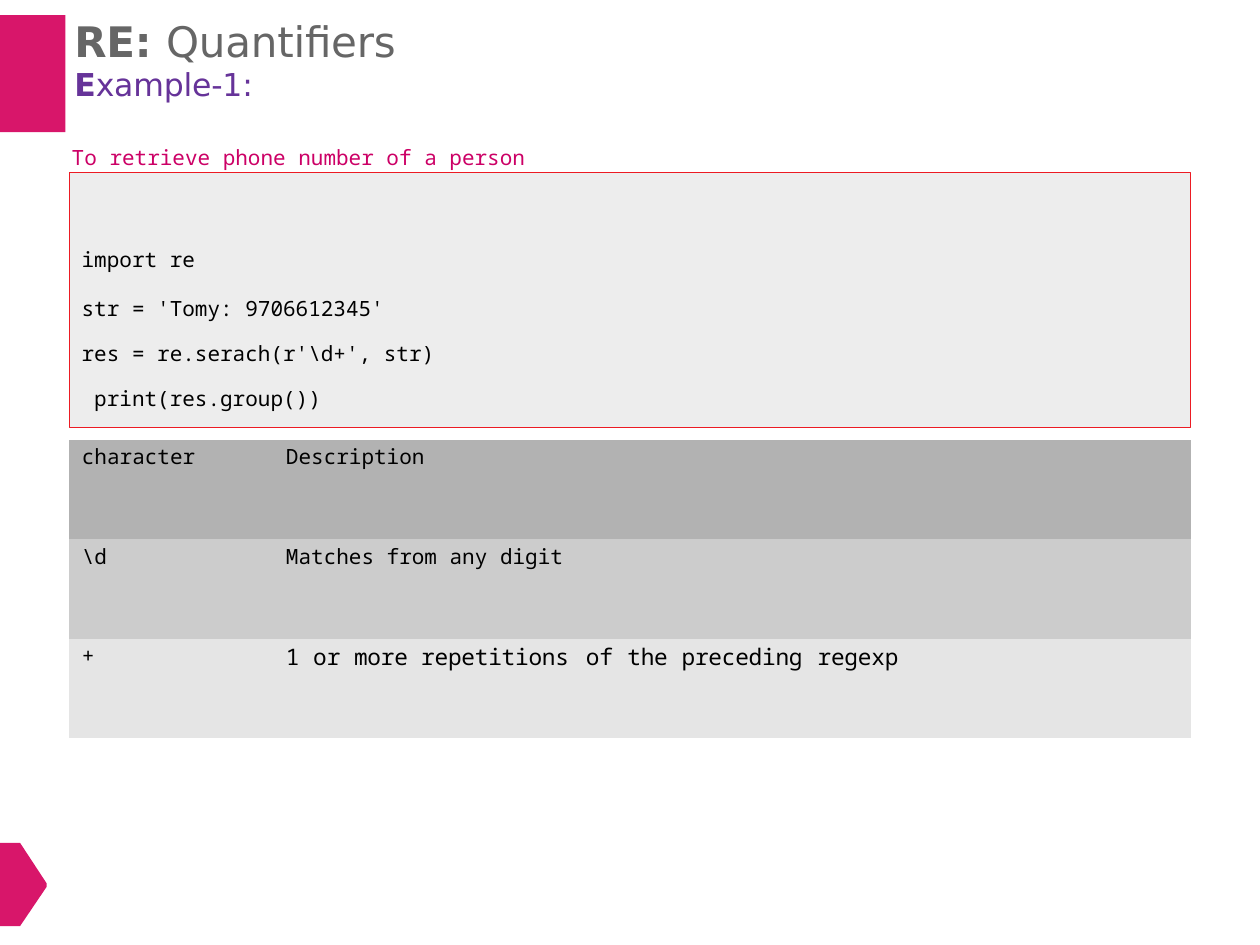
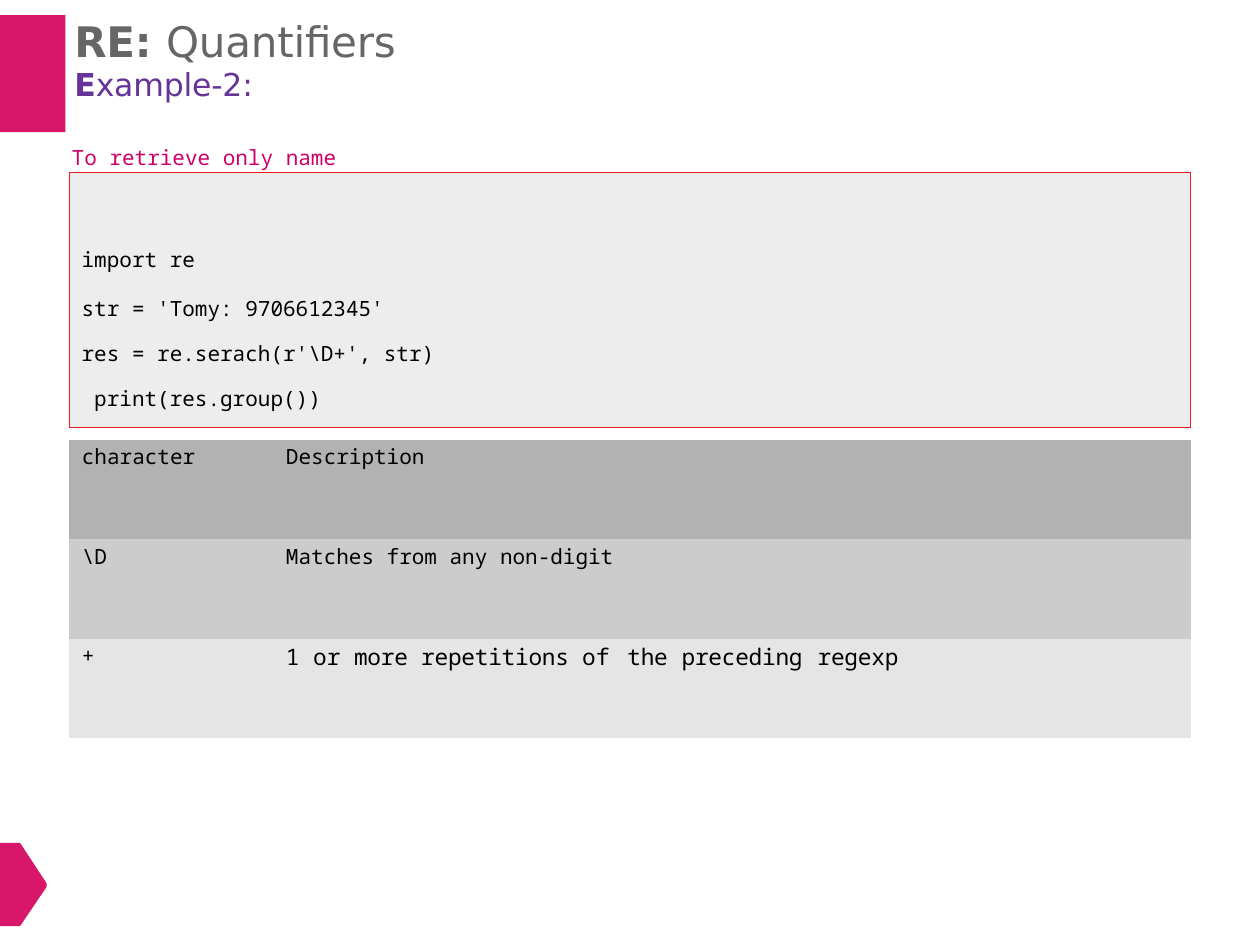
from dataclasses import dataclass

from pptx import Presentation
from pptx.dml.color import RGBColor
from pptx.enum.shapes import MSO_SHAPE
from pptx.enum.text import MSO_ANCHOR, PP_ALIGN
from pptx.util import Inches, Pt

PINK = "D8166A"
GREY = "666666"
PURPLE = "663399"
MAGENTA = "CC0066"
RED = "EC1B23"
PALE = "EDEDED"
BLACK = "000000"
ROW_FILLS = ("B2B2B2", "CCCCCC", "E5E5E5")
SANS = "DejaVu Sans"
MONO = "Noto Sans Mono"
NO_STYLE_TABLE = "{2D5ABB26-0587-4C30-8999-92F81FD0307C}"
ROW_HEIGHT = 0.79
CODE_LEADING = 25.7
MARKER_POINTS = ((0, 6.69), (0, 7.35), (0.16, 7.35), (0.37, 7.04), (0.37, 7.01), (0.16, 6.69))


@dataclass(frozen=True)
class Span:
    """A piece of text in one style."""

    text: str
    size: float = 12
    color: str = BLACK
    font: str = MONO
    bold: bool = False
    spacing: float = 0


@dataclass(frozen=True)
class Example:
    """The content that differs between the example slides."""

    number: int
    task: str
    pattern: str
    meaning: str
    columns: tuple[float, ...]
    phrase: tuple[tuple[Span, ...], ...]


def color(value: str) -> RGBColor:
    """Turn a hex string into a colour."""
    return RGBColor.from_string(value)


def small(text: str, spacing: float = -0.1) -> Span:
    """Style a word of the repetition phrase."""
    return Span(text, size=13, spacing=spacing)


def add_spans(para, spans: tuple[Span, ...]) -> None:
    """Write spans into a left-aligned paragraph."""
    para.alignment = PP_ALIGN.LEFT
    for span in spans:
        run = para.add_run()
        run.text = span.text
        run.font.name = span.font
        run.font.size = Pt(span.size)
        run.font.bold = span.bold
        run.font.color.rgb = color(span.color)
        if span.spacing:
            run.font._element.set("spc", str(round(span.spacing * 100)))


def set_margins(target, left: float, top: float) -> None:
    """Set the left and top insets and clear the others."""
    target.margin_left, target.margin_top = Inches(left), Inches(top)
    target.margin_right = target.margin_bottom = 0
    target.vertical_anchor = MSO_ANCHOR.TOP


def add_lines(frame, lines: list[tuple[Span, ...]], left: float, top: float) -> None:
    """Write one paragraph per line into a text frame."""
    set_margins(frame, left, top)
    frame.word_wrap = True
    for index, spans in enumerate(lines):
        para = frame.add_paragraph() if index else frame.paragraphs[0]
        add_spans(para, spans)


def add_label(page, left: float, top: float, width: float, height: float,
              lines: list[tuple[Span, ...]]) -> None:
    """Add a plain text box."""
    box = page.shapes.add_textbox(Inches(left), Inches(top), Inches(width), Inches(height))
    add_lines(box.text_frame, lines, 0.01, 0.01)


def paint(shape, fill: str) -> None:
    """Give a shape a flat fill with no line or shadow."""
    shape.shadow.inherit = False
    shape.fill.solid()
    shape.fill.fore_color.rgb = color(fill)
    shape.line.fill.background()


def add_decoration(page) -> None:
    """Draw the pink title block and the corner marker."""
    block = page.shapes.add_shape(
        MSO_SHAPE.RECTANGLE, 0, Inches(0.12), Inches(0.52), Inches(0.93))
    paint(block, PINK)
    points = [(Inches(x), Inches(y)) for x, y in MARKER_POINTS]
    builder = page.shapes.build_freeform(*points[0])
    builder.add_line_segments(points[1:], close=True)
    paint(builder.convert_to_shape(), PINK)


def add_title(page, number: int) -> None:
    """Add the two-line slide title."""
    add_label(page, 0.58, 0.11, 2.6, 0.73, [
        (Span("RE: ", 24, GREY, SANS, True, -0.1), Span("Quantifiers", 24, GREY, SANS, False, -0.1)),
        (Span("E", 18, PURPLE, SANS, True, -0.1),
         Span(f"xample-{number}:", 18, PURPLE, SANS, False, -0.1)),
    ])


def add_code(page, pattern: str) -> None:
    """Add the framed code listing."""
    box = page.shapes.add_shape(
        MSO_SHAPE.RECTANGLE, Inches(0.55), Inches(1.37), Inches(8.9), Inches(2.02))
    paint(box, PALE)
    box.line.color.rgb = color(RED)
    box.line.width = Pt(0.25)
    code = ("import re", "str = 'Tomy: 9706612345'",
            f"res = re.serach(r'{pattern}+', str)", " print(res.group())")
    add_lines(box.text_frame, [(Span(line),) for line in code], 0.1, 0.43)
    for para in box.text_frame.paragraphs:
        para.line_spacing = Pt(CODE_LEADING)
    box.text_frame.paragraphs[1].space_before = Pt(2.3)


def add_meanings(page, example: Example) -> None:
    """Add the table that explains the pattern characters."""
    rows = (
        ((Span("character"),), (Span("Description"),)),
        ((Span(example.pattern),), (Span(example.meaning),)),
        ((Span("+"),), *example.phrase),
    )
    frame = page.shapes.add_table(
        len(rows), len(example.columns), Inches(0.55), Inches(3.49),
        Inches(sum(example.columns)), Inches(ROW_HEIGHT * len(rows)))
    table = frame.table
    table.first_row = table.horz_banding = False
    table._tbl.tblPr[0].text = NO_STYLE_TABLE
    for column, width in zip(table.columns, example.columns):
        column.width = Inches(width)
    for row_index, (texts, fill) in enumerate(zip(rows, ROW_FILLS)):
        table.rows[row_index].height = Inches(ROW_HEIGHT)
        for cell in table.rows[row_index].cells:
            cell.fill.solid()
            cell.fill.fore_color.rgb = color(fill)
        for column_index, spans in enumerate(texts):
            cell = table.cell(row_index, column_index)
            set_margins(cell, (0.1, 0.36)[column_index] if column_index < 2 else 0.05, 0.02)
            add_spans(cell.text_frame.paragraphs[0], spans)


def add_example(deck, example: Example) -> None:
    """Build one example slide."""
    page = deck.slides.add_slide(deck.slide_layouts[6])
    add_decoration(page)
    add_title(page, example.number)
    add_code(page, example.pattern)
    add_label(page, 0.56, 1.14, 3.63, 0.23, [(Span(example.task, color=MAGENTA),)])
    add_meanings(page, example)


PHRASE_END = tuple((small(word),) for word in ("the", "preceding", "regexp"))
EXAMPLES = (
    Example(1, "To retrieve phone number of a person", r"\d", "Matches from any digit",
            (1.36, 2.69, 0.33, 0.43, 1.08, 3.01),
            ((small("1 or ", 0), small("more repetitions")), (small("of", 0),), *PHRASE_END)),
    Example(2, "To retrieve only name", r"\D", "Matches from any non-digit",
            (1.36, 3.02, 0.43, 1.08, 3.01),
            ((small("1 or ", 0), small("more repetitions "), small("of", 0)), *PHRASE_END)),
)


def main() -> None:
    """Build and save the deck."""
    deck = Presentation()
    deck.slide_width, deck.slide_height = Inches(10), Inches(7.5)
    for example in EXAMPLES:
        add_example(deck, example)
    deck.save("out.pptx")


if __name__ == "__main__":
    main()
